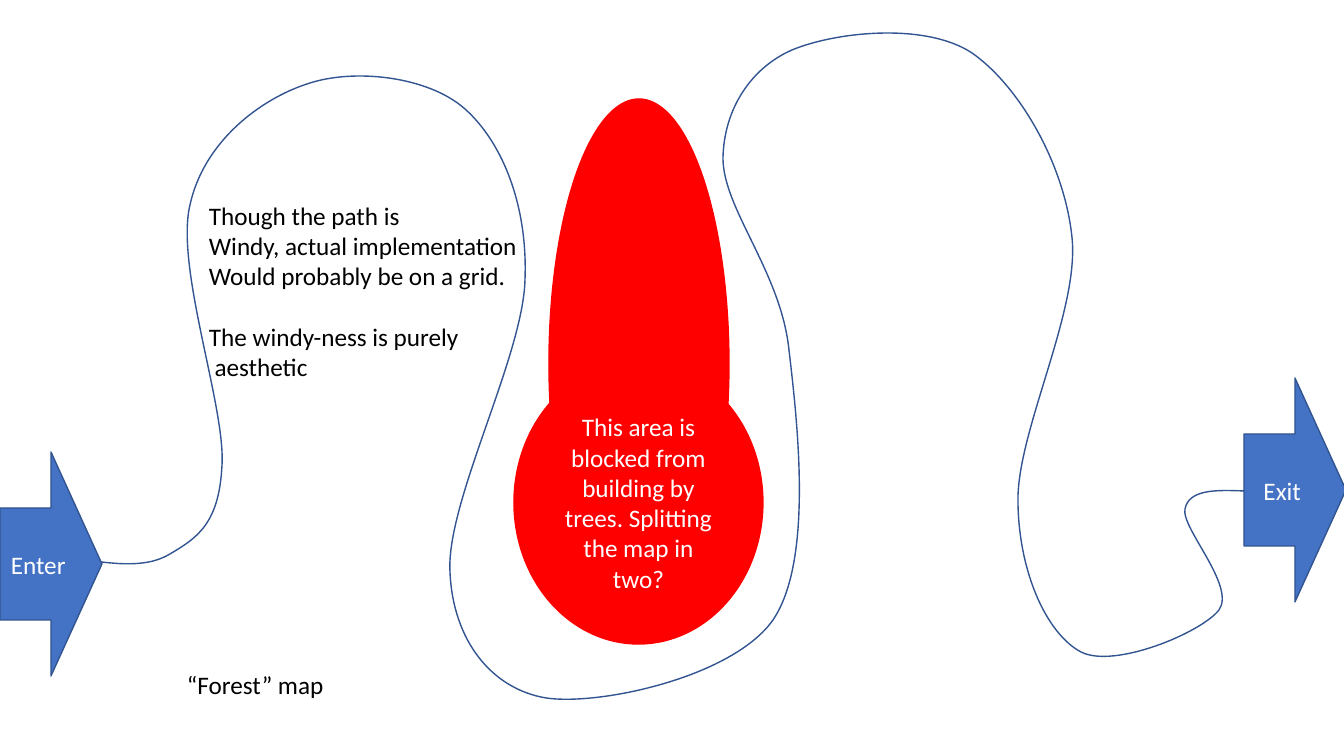
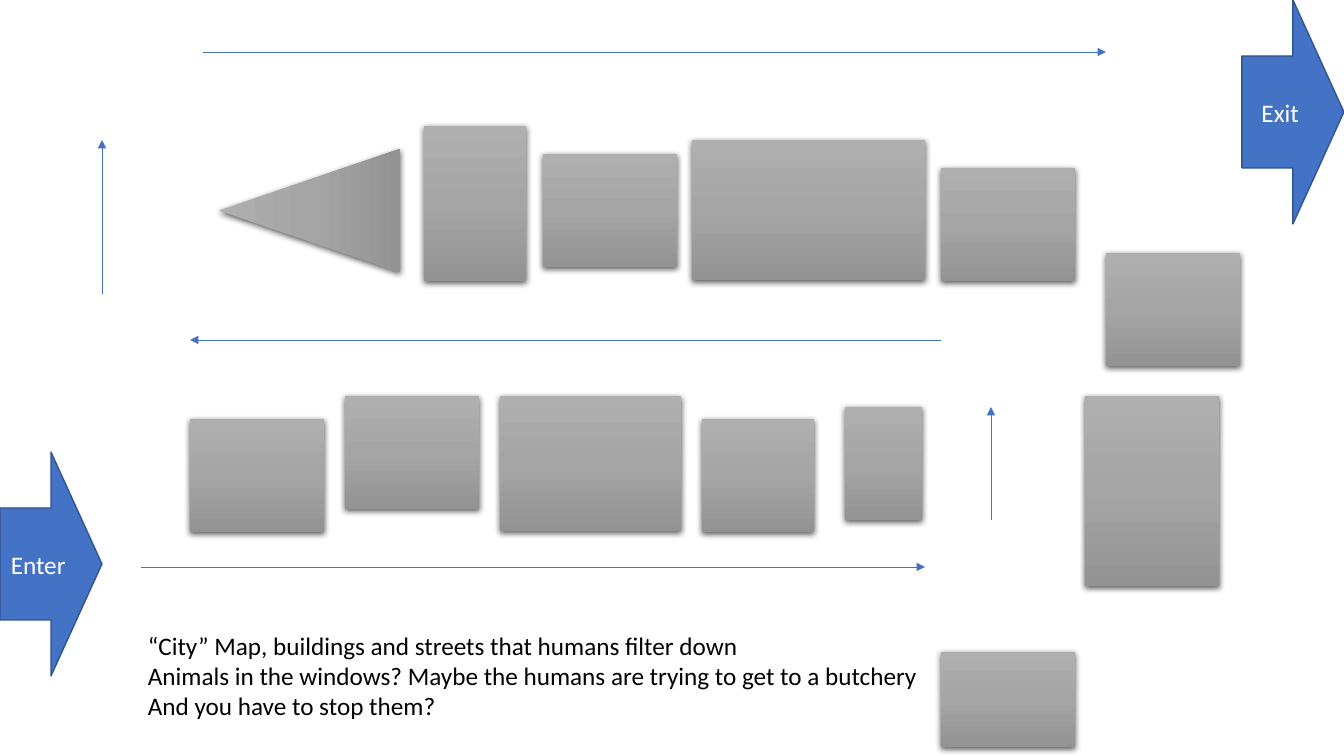
from copy import deepcopy

from lxml import etree
from pptx import Presentation
from pptx import util as u
from pptx.dml.color import RGBColor
from pptx.enum import shapes, text
from pptx.oxml.ns import qn

PIXEL = 12192000 / 1344
FONT = "Calibri"
TEXT_SIZE = u.Pt(18)
BLANK_LAYOUT = 6

BLACK = RGBColor(0, 0, 0)
WHITE = RGBColor(255, 255, 255)
RED = RGBColor(255, 0, 0)
BLUE = RGBColor(0x44, 0x72, 0xC4)
DARK_BLUE = RGBColor(0x32, 0x54, 0x91)
GREYS = [RGBColor(0xAF, 0xAF, 0xAF), RGBColor(0xA5, 0xA5, 0xA5), RGBColor(0x93, 0x93, 0x93)]

ENTRANCE = (0, 452, 102, 224)
TRAIL_BOX = (67, 33, 1244, 699)
TRAIL_START = (67, 557)
TRAIL_CURVES = [
    [(106, 563), (144, 570), (170, 554)],
    [(197, 538), (219, 524), (222, 466)],
    [(226, 407), (175, 268), (190, 205)],
    [(204, 141), (261, 99), (307, 84)],
    [(353, 68), (428, 76), (465, 109)],
    [(501, 141), (528, 203), (525, 280)],
    [(523, 357), (446, 502), (450, 572)],
    [(453, 641), (492, 689), (546, 698)],
    [(600, 706), (733, 677), (773, 620)],
    [(813, 561), (798, 426), (789, 350)],
    [(781, 272), (723, 209), (723, 158)],
    [(724, 109), (751, 68), (792, 50)],
    [(835, 32), (925, 22), (972, 53)],
    [(1018, 85), (1064, 162), (1072, 237)],
    [(1080, 311), (1016, 433), (1018, 503)],
    [(1019, 573), (1047, 634), (1081, 652)],
    [(1114, 669), (1201, 633), (1219, 610)],
    [(1236, 586), (1181, 528), (1185, 509)],
    [(1189, 489), (1217, 490), (1244, 491)],
]
BUILDINGS = [
    (190, 419, 134, 113), (345, 396, 134, 113), (500, 396, 181, 135),
    (702, 419, 112, 113), (845, 407, 77, 113), (1085, 396, 134, 190),
    (941, 652, 134, 95), (941, 168, 134, 113), (1106, 253, 134, 113),
    (692, 140, 233, 140), (543, 154, 134, 113), (424, 126, 102, 155),
]
CORNER_BUILDING = (248, 120, 123, 181)
STREETS = [
    (141, 567, 925, 567), (991, 520, 991, 407), (941, 340, 190, 340),
    (102, 294, 102, 140), (203, 52, 1106, 52),
]


def px(*lengths):
    """Turn pixels into EMU."""
    return [u.Emu(round(length * PIXEL)) for length in lengths]


def style_text(paragraph, color):
    """Give a paragraph the shared font."""
    paragraph.font.name = FONT
    paragraph.font.size = TEXT_SIZE
    paragraph.font.color.rgb = color


def add_solid(slide, kind, box, fill, line, label=""):
    """Add a filled preset shape with an optional centred label."""
    shape = slide.shapes.add_shape(kind, *px(*box))
    shape.shadow.inherit = False
    shape.fill.solid()
    shape.fill.fore_color.rgb = fill
    shape.line.color.rgb = line
    shape.line.width = u.Pt(1)
    if label:
        frame = shape.text_frame
        frame.text = label
        frame.word_wrap = True
        frame.vertical_anchor = text.MSO_ANCHOR.MIDDLE
        frame.paragraphs[0].alignment = text.PP_ALIGN.CENTER
        style_text(frame.paragraphs[0], WHITE)


def add_gate(slide, box, label):
    """Add an entrance or exit arrow."""
    add_solid(slide, shapes.MSO_SHAPE.RIGHT_ARROW, box, BLUE, DARK_BLUE, label)


def add_note(slide, box, lines, gap_before=None):
    """Add lines of black text, with one blank line's space before a given line."""
    frame = slide.shapes.add_textbox(*px(*box)).text_frame
    frame.word_wrap = False
    frame.auto_size = text.MSO_AUTO_SIZE.SHAPE_TO_FIT_TEXT
    frame.text = "\n".join(lines)
    for index, paragraph in enumerate(frame.paragraphs):
        style_text(paragraph, BLACK)
        if index == gap_before:
            paragraph.space_before = u.Pt(22)


def add_trail(slide):
    """Draw the winding trail as a chain of Bezier curves."""
    left, top, right, bottom = TRAIL_BOX
    builder = slide.shapes.build_freeform(left, top, scale=PIXEL)
    builder.add_line_segments([(right, bottom)], close=False)
    trail = builder.convert_to_shape()
    trail.shadow.inherit = False
    trail.fill.background()
    trail.line.color.rgb = DARK_BLUE
    trail.line.width = u.Pt(1)
    outline = next(trail._element.iter(qn("a:path")))
    for segment in list(outline):
        outline.remove(segment)
    for tag, points in [("a:moveTo", [TRAIL_START])] + [("a:cubicBezTo", c) for c in TRAIL_CURVES]:
        segment = etree.SubElement(outline, qn(tag))
        for x, y in points:
            etree.SubElement(segment, qn("a:pt"), x=str(x - left), y=str(y - top))


def add_building(slide, box, kind=shapes.MSO_SHAPE.RECTANGLE, rotation=0):
    """Add a grey gradient building with a soft shadow."""
    building = slide.shapes.add_shape(kind, *px(*box))
    building.rotation = rotation
    building.line.fill.background()
    building.fill.gradient()
    building.fill.gradient_angle = 270
    stop_list = next(building._element.iter(qn("a:gsLst")))
    stop_list.insert(1, deepcopy(stop_list[0]))
    for index, (stop, grey) in enumerate(zip(building.fill.gradient_stops, GREYS)):
        stop.position = index / 2
        stop.color.rgb = grey
    effects = etree.SubElement(building._element.spPr, qn("a:effectLst"))
    shadow = etree.SubElement(effects, qn("a:outerShdw"), blurRad="57150", dist="19050",
                              dir="5400000", algn="ctr", rotWithShape="0")
    color = etree.SubElement(shadow, qn("a:srgbClr"), val=str(BLACK))
    etree.SubElement(color, qn("a:alpha"), val="63000")


def add_street(slide, ends):
    """Add a thin arrow along a street."""
    street = slide.shapes.add_connector(shapes.MSO_CONNECTOR.STRAIGHT, *px(*ends))
    street.line.color.rgb = BLUE
    street.line.width = u.Pt(0.5)
    properties = street._element.spPr
    etree.SubElement(properties.find(qn("a:ln")), qn("a:tailEnd"), type="triangle")
    etree.SubElement(properties, qn("a:effectLst"))


def build_forest(slide):
    """Build the forest map."""
    oval = shapes.MSO_SHAPE.OVAL
    add_solid(slide, oval, (549, 99, 180, 529), RED, RED)
    add_trail(slide)
    add_gate(slide, ENTRANCE, "Enter")
    add_gate(slide, (1244, 378, 102, 224), "Exit")
    add_solid(slide, oval, (514, 361, 249, 283), RED, RED,
              "This area is blocked from building by trees. Splitting the map in two?")
    add_note(slide, (199, 195, 332, 194), [
        "Though the path is", "Windy, actual implementation", "Would probably be on a grid.",
        "The windy-ness is purely", " aesthetic"], gap_before=3)
    add_note(slide, (177, 664, 158, 40), ["“Forest” map"])


def build_city(slide):
    """Build the city map."""
    add_gate(slide, ENTRANCE, "Enter")
    add_gate(slide, (1242, 0, 102, 224), "Exit")
    for box in BUILDINGS:
        add_building(slide, box)
    add_building(slide, CORNER_BUILDING, shapes.MSO_SHAPE.ISOSCELES_TRIANGLE, 270)
    for ends in STREETS:
        add_street(slide, ends)
    add_note(slide, (138, 625, 799, 102), [
        "“City” Map, buildings and streets that humans filter down",
        "Animals in the windows? Maybe the humans are trying to get to a butchery",
        "And you have to stop them?"])


def main():
    """Build and save both maps."""
    presentation = Presentation()
    presentation.slide_width, presentation.slide_height = px(1344, 756)
    for build in (build_forest, build_city):
        build(presentation.slides.add_slide(presentation.slide_layouts[BLANK_LAYOUT]))
    presentation.save("out.pptx")


main()
